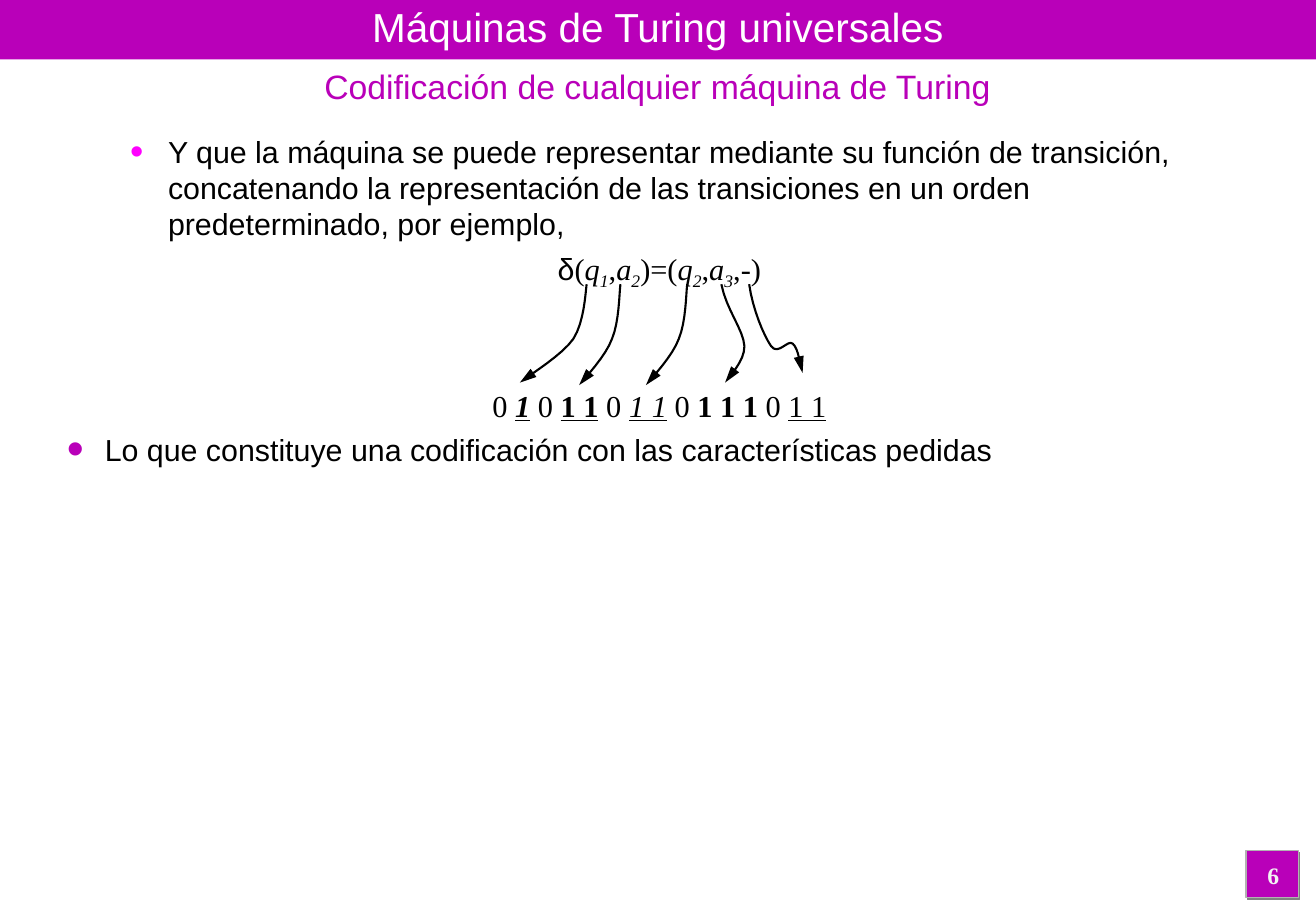
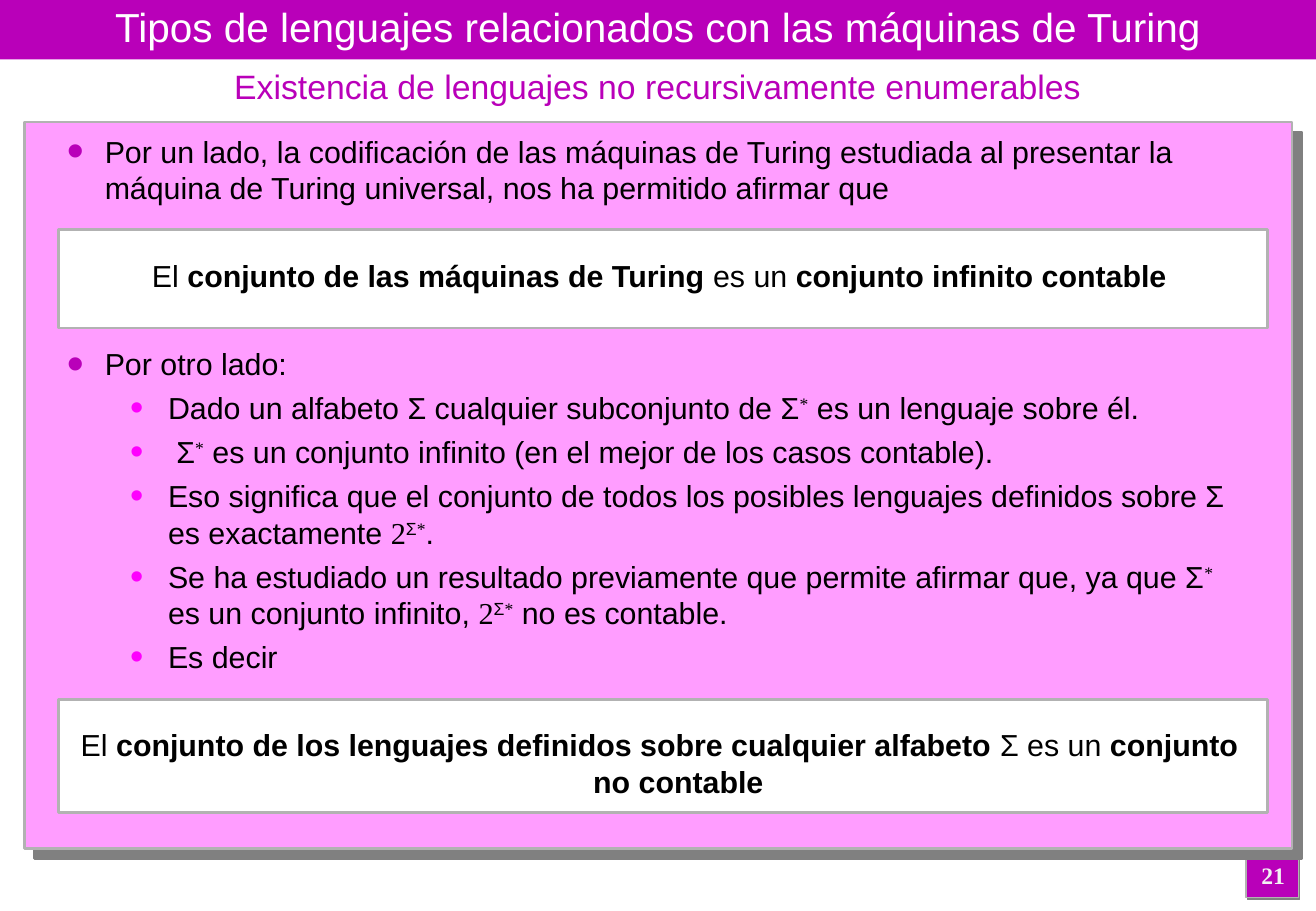
from dataclasses import dataclass, field
from typing import Any

from lxml import etree
from pptx import Presentation
from pptx.dml.color import RGBColor
from pptx.enum import shapes, text
from pptx.oxml import ns
from pptx.util import Pt

# Shared look
PURPLE = RGBColor(0xB9, 0x00, 0xB9)
MAGENTA = RGBColor(0xFE, 0x00, 0xFE)
PINK = RGBColor(0xFF, 0x9D, 0xFF)
WHITE = RGBColor(0xFF, 0xFF, 0xFF)
OFF_WHITE = RGBColor(0xF2, 0xF2, 0xF2)
BLACK = RGBColor(0x00, 0x00, 0x00)
SILVER = RGBColor(0xB2, 0xB2, 0xB2)
GRAY = RGBColor(0x80, 0x80, 0x80)

SANS, SERIF = "Arial", "Times New Roman"
WIDTH, HEIGHT = 780.25, 540
BODY_SIZE, LINE_PITCH, PARA_GAP = 18, 21.6, 4.5
BOX_GAP = 30.6  # space around a framed statement
CENTER = text.PP_ALIGN.CENTER

TITLE_FORMAT = {"name": SANS, "size": Pt(24), "color": WHITE}
SUBTITLE_FORMAT = {"name": SANS, "size": Pt(20), "color": PURPLE}
NUMBER_FORMAT = {"name": SERIF, "size": Pt(14), "bold": True, "color": OFF_WHITE}
BODY_FORMAT = {"name": SANS, "size": Pt(BODY_SIZE), "color": BLACK}

Frame = tuple[float, float, float, float]
Point = tuple[float, float]


@dataclass(frozen=True)
class Span:
    text: str
    format: dict[str, Any] = field(default_factory=dict)


@dataclass(frozen=True)
class ParaStyle:
    margin: float
    level: int = 0
    bullet: RGBColor | None = None
    bullet_percent: int = 100
    align: Any = None


MAIN = ParaStyle(22.5, bullet=PURPLE, bullet_percent=160)
SUB = ParaStyle(60, level=1, bullet=MAGENTA, bullet_percent=125)
CENTERED = ParaStyle(22.5, align=CENTER)


@dataclass(frozen=True)
class Para:
    style: ParaStyle
    spans: list[Span]
    gap: float = PARA_GAP


@dataclass(frozen=True)
class Panel:
    frame: Frame
    fill: RGBColor
    line_width: float = 0
    shadow: float = 0


@dataclass(frozen=True)
class Curve:
    start_x: float
    controls: list[Point]  # Bézier points relative to the start


@dataclass(frozen=True)
class Content:
    title: str
    subtitle: str
    number: str
    body_height: float
    paras: list[Para]
    panels: list[Panel] = field(default_factory=list)
    curves: list[Curve] = field(default_factory=list)


# Text fragments
def plain(words: str) -> Span:
    return Span(words)


def bold(words: str) -> Span:
    return Span(words, {"bold": True})


def serif(words: str, **format_values: Any) -> Span:
    return Span(words, {"name": SERIF, **format_values})


def symbol(letter: str, index: str) -> list[Span]:
    return [serif(letter, italic=True), serif(index, italic=True, baseline=-25)]


STAR = serif("*", baseline=30)
POWER_SET = [serif("2"), Span("Σ", {"baseline": 30}), STAR]


# Drawing functions
def add_xml(parent: Any, tag: str, **values: Any) -> Any:
    return etree.SubElement(parent, ns.qn(tag), {key: str(value) for key, value in values.items()})


def add_span(para: Any, words: str, format_values: dict[str, Any]) -> None:
    span = para.add_run()
    span.text = words
    for key, value in format_values.items():
        if key == "color":
            span.font.color.rgb = value
        elif key == "baseline":
            span._r.get_or_add_rPr().set("baseline", str(value * 1000))
        else:
            setattr(span.font, key, value)


def place(shape: Any, frame: Frame) -> None:
    for key, value in zip(("left", "top", "width", "height"), frame):
        setattr(shape, key, Pt(value))


def set_frame(shape: Any, anchor: Any) -> Any:
    values = {"word_wrap": True, "auto_size": text.MSO_AUTO_SIZE.NONE, "vertical_anchor": anchor,
              "margin_left": Pt(7.2), "margin_right": Pt(7.2),
              "margin_top": Pt(3.6), "margin_bottom": Pt(3.6)}
    for key, value in values.items():
        setattr(shape.text_frame, key, value)
    return shape.text_frame


def write_line(shape: Any, words: str, format_values: dict[str, Any], anchor: Any) -> None:
    para = set_frame(shape, anchor).paragraphs[0]
    para.alignment = CENTER
    add_span(para, words, format_values)


def add_label(page: Any, frame: Frame, words: str, format_values: dict[str, Any]) -> None:
    box = page.shapes.add_textbox(*map(Pt, frame))
    write_line(box, words, format_values, text.MSO_ANCHOR.TOP)


def add_panel(page: Any, panel: Panel) -> None:
    box = page.shapes.add_shape(shapes.MSO_SHAPE.RECTANGLE, *map(Pt, panel.frame))
    box.fill.solid()
    box.fill.fore_color.rgb = panel.fill
    if panel.line_width:
        box.line.color.rgb = SILVER
        box.line.width = Pt(panel.line_width)
    else:
        box.line.fill.background()
    box.shadow.inherit = False
    if panel.shadow:
        effects = box.element.spPr.find(ns.qn("a:effectLst"))
        shadow = add_xml(effects, "a:outerShdw", dist=Pt(panel.shadow), dir=45 * 60000,
                         algn="tl", rotWithShape=0)
        add_xml(shadow, "a:srgbClr", val=GRAY)


def add_curve(page: Any, curve: Curve, top: float = 168.5, steps: int = 8) -> None:
    points: list[Point] = [(0, 0)]
    for first in range(0, len(curve.controls), 3):
        corners = [points[-1], *curve.controls[first:first + 3]]
        for step in range(1, steps + 1):
            t = step / steps
            weights = ((1 - t) ** 3, 3 * t * (1 - t) ** 2, 3 * t * t * (1 - t), t ** 3)
            points.append(tuple(sum(w * corner[axis] for w, corner in zip(weights, corners))
                                for axis in (0, 1)))
    placed = [(Pt(curve.start_x + x), Pt(top + y)) for x, y in points]
    builder = page.shapes.build_freeform(*placed[0])
    builder.add_line_segments(placed[1:], close=False)
    arrow = builder.convert_to_shape()
    arrow.fill.background()
    arrow.line.color.rgb = BLACK
    arrow.line.width = Pt(1.25)
    arrow.shadow.inherit = False
    add_xml(arrow.element.spPr.find(ns.qn("a:ln")), "a:tailEnd", type="triangle", len="lg")


def write_para(para: Any, source: Para, first: bool) -> None:
    style = source.style
    para.level = style.level
    properties = para._p.get_or_add_pPr()
    properties.set("marL", str(Pt(style.margin)))
    properties.set("indent", str(Pt(-22.5)))
    if style.bullet is None:
        add_xml(properties, "a:buNone")
    else:
        add_xml(add_xml(properties, "a:buClr"), "a:srgbClr", val=style.bullet)
        add_xml(properties, "a:buSzPct", val=style.bullet_percent * 1000)
        add_xml(properties, "a:buFont", typeface=SANS)
        add_xml(properties, "a:buChar", char="•")
    values = {"alignment": style.align, "line_spacing": Pt(LINE_PITCH),
              "space_before": Pt(0 if first else source.gap), "space_after": Pt(0)}
    for key, value in values.items():
        setattr(para, key, value)
    for span in source.spans:
        add_span(para, span.text, BODY_FORMAT | span.format)


def build_page(deck: Any, content: Content) -> None:
    page = deck.slides.add_slide(deck.slide_layouts[1])
    title, body = page.placeholders

    # Band, number box and panels lie behind the text
    add_panel(page, Panel((738.7, 504.2, 31, 28), PURPLE, 0.75, 1.4))
    add_panel(page, Panel((0, 0, WIDTH, 35.3), PURPLE))
    for panel in content.panels:
        add_panel(page, panel)
    for holder in (title, body):
        page.shapes.element.append(holder.element)

    # Title and list
    place(title, (0, 0, 780, 31.7))
    write_line(title, content.title, TITLE_FORMAT, text.MSO_ANCHOR.MIDDLE)
    place(body, (32.4, 75.1, 717.1, content.body_height))
    frame = set_frame(body, text.MSO_ANCHOR.TOP)
    for index, source in enumerate(content.paras):
        para = frame.add_paragraph() if index else frame.paragraphs[0]
        write_para(para, source, first=index == 0)

    # Subtitle, arrows and page number
    add_label(page, (0, 35.3, 780, 31.7), content.subtitle, SUBTITLE_FORMAT)
    for curve in content.curves:
        add_curve(page, curve)
    add_label(page, (735.8, 506.5, 38.2, 25.2), content.number, NUMBER_FORMAT)


# Slide content
NARROW = [(-0.7, 5), (-0.7, 22.3), (-5, 32.4), (-8.6, 42.5), (-20.9, 55.4), (-24.5, 59.8)]

CODING = Content(
    "Máquinas de Turing universales", "Codificación de cualquier máquina de Turing", "6", 231.8,
    paras=[
        Para(SUB, [plain("Y que la máquina se puede representar mediante su función de transición, "
                         "concatenando la representación de las transiciones en un orden "
                         "predeterminado, por ejemplo,")]),
        Para(CENTERED, [plain("δ"), serif("("), *symbol("q", "1"), serif(","), *symbol("a", "2"),
                        serif(")=("), *symbol("q", "2"), serif(","), *symbol("a", "3"),
                        serif(",-)")], gap=7.5),
        Para(CENTERED, [serif("0 "), serif("1", bold=True, italic=True, underline=True),
                        serif(" 0 "), serif("1 1", bold=True, underline=True),
                        serif(" 0 "), serif("1 1", italic=True, underline=True),
                        serif(" 0 "), serif("1 1 1", bold=True),
                        serif(" 0 "), serif("1 1", underline=True)], gap=56.6),
        Para(MAIN, [plain("Lo que constituye una codificación con las características pedidas")]),
    ],
    curves=[
        Curve(347.8, [(-0.7, 5), (-1.4, 22.3), (-7.9, 32.4),
                      (-14.4, 41.8), (-33.1, 53.3), (-39.6, 58.3)]),
        Curve(367.9, NARROW),
        Curve(407.5, NARROW),
        Curve(427.7, [(2.9, 15.1), (13, 26.6), (13.7, 36.7),
                      (13.7, 46.1), (4.3, 54.7), (2.2, 58.3)]),
        Curve(444.2, [(2.2, 15.1), (8.6, 30.2), (13, 36.7), (17.3, 42.5), (23, 32.4),
                      (25.9, 35.3), (29.5, 38.2), (30.2, 49), (31.7, 52.6)]),
    ],
)

LANGUAGES = Content(
    "Tipos de lenguajes relacionados con las máquinas de Turing",
    "Existencia de lenguajes no recursivamente enumerables", "21", 402.5,
    paras=[
        Para(MAIN, [plain("Por un lado, la codificación de las máquinas de Turing estudiada al "
                          "presentar la máquina de Turing universal, nos ha permitido afirmar que")]),
        Para(CENTERED, [plain("El "), bold("conjunto de las máquinas de Turing "), plain("es un "),
                        bold("conjunto infinito contable")], BOX_GAP),
        Para(MAIN, [plain("Por otro lado:")], BOX_GAP),
        Para(SUB, [plain("Dado un alfabeto Σ cualquier subconjunto de Σ"), STAR,
                   plain(" es un lenguaje sobre él.")]),
        Para(SUB, [plain(" Σ"), STAR,
                   plain(" es un conjunto infinito (en el mejor de los casos contable).")]),
        Para(SUB, [plain("Eso significa que el conjunto de todos los posibles lenguajes definidos "
                         "sobre Σ es exactamente "), *POWER_SET, plain(".")]),
        Para(SUB, [plain("Se ha estudiado un resultado previamente que permite afirmar que, "
                         "ya que Σ"), STAR, plain(" es un conjunto infinito, "), *POWER_SET,
                   plain(" no es contable.")]),
        Para(SUB, [plain("Es decir")]),
        Para(CENTERED, [plain("El "),
                        bold("conjunto de los lenguajes definidos sobre cualquier alfabeto "),
                        plain("Σ es un "), bold("conjunto no contable")], BOX_GAP),
    ],
    panels=[
        Panel((14.4, 72.3, 751.7, 430.6), PINK, 1.5, 8.5),
        Panel((34.8, 414.7, 716.6, 67), WHITE, 1.5),
        Panel((34.8, 136, 716.6, 58.5), WHITE, 1.5),
    ],
)


def main() -> None:
    deck = Presentation()
    deck.slide_width, deck.slide_height = Pt(WIDTH), Pt(HEIGHT)
    for content in (CODING, LANGUAGES):
        build_page(deck, content)
    deck.save("out.pptx")


if __name__ == "__main__":
    main()
